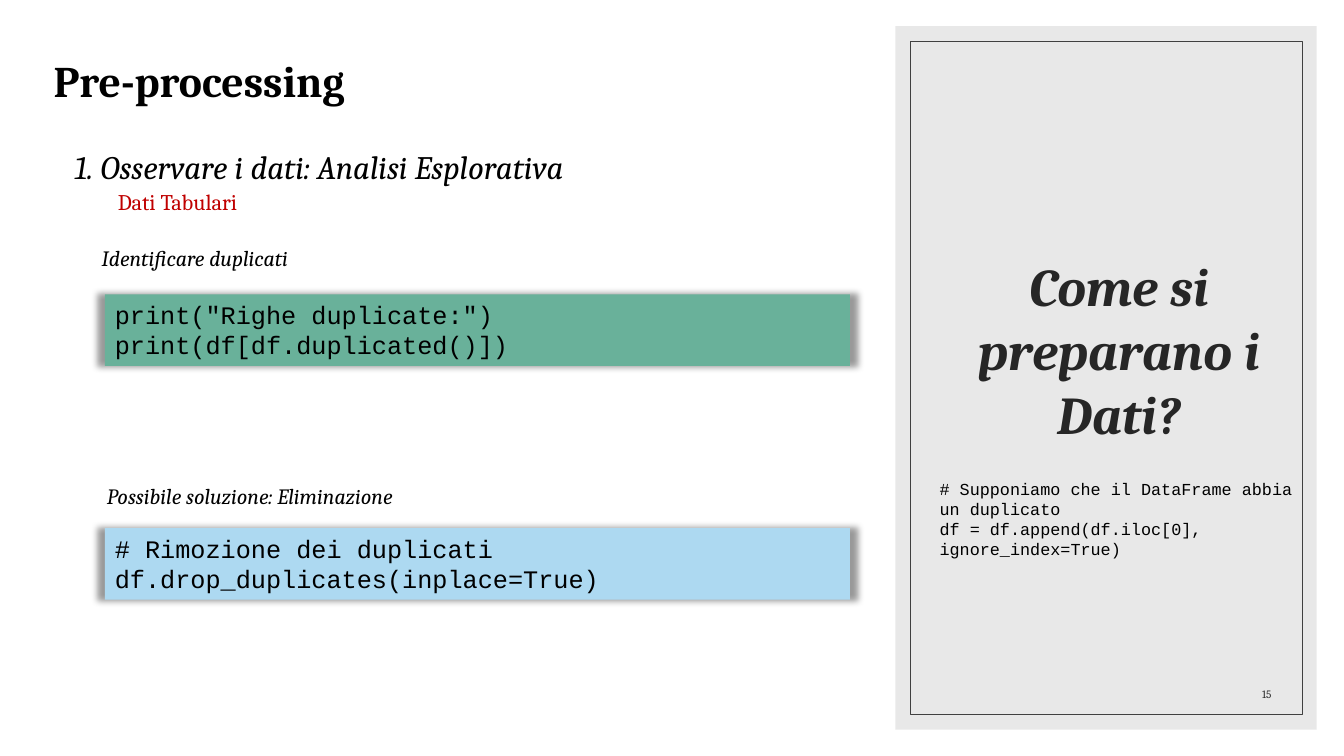
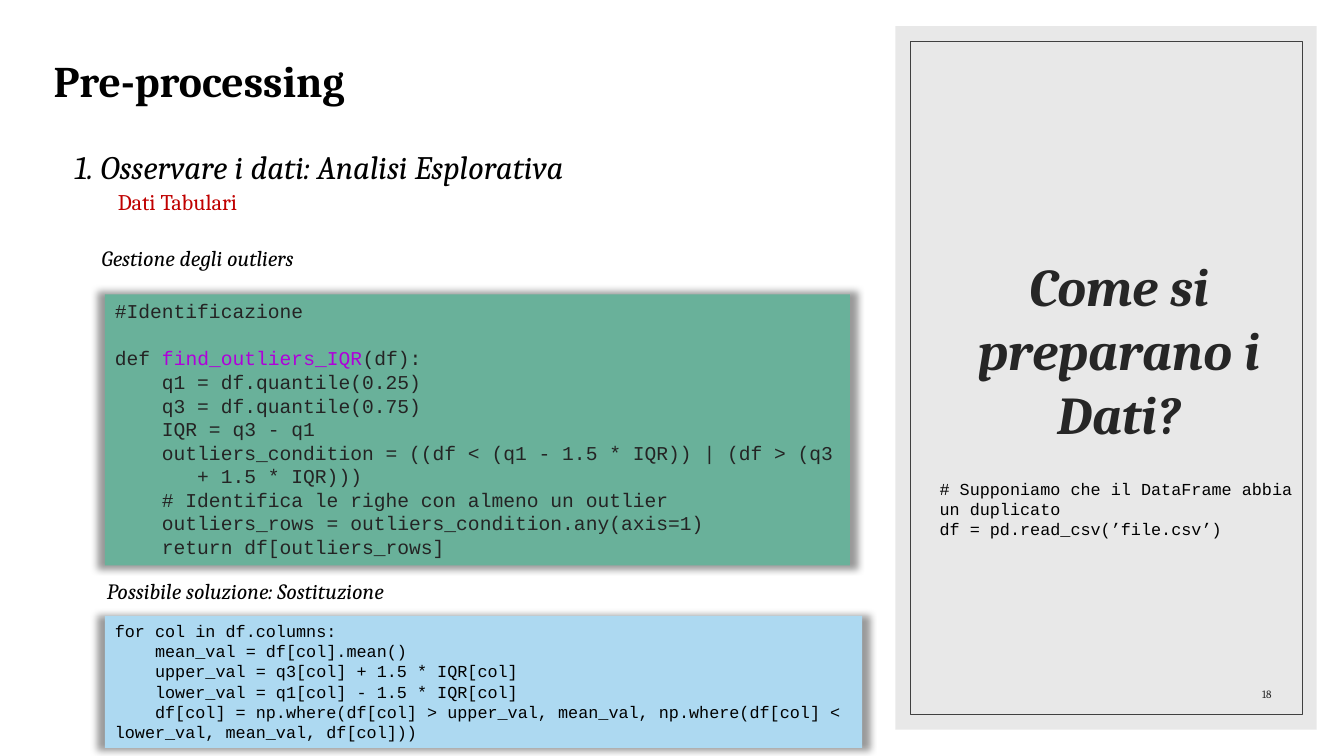
from lxml import etree
from pptx import Presentation
from pptx.dml.color import RGBColor
from pptx.enum import shapes, text
from pptx.oxml import ns
from pptx.util import Inches, Pt

BLACK = RGBColor(0x00, 0x00, 0x00)
INK = RGBColor(0x26, 0x26, 0x26)
CODE_INK = RGBColor(0x24, 0x24, 0x24)
RED = RGBColor(0xC0, 0x00, 0x00)
PURPLE = RGBColor(0xAF, 0x00, 0xDA)
PANEL_GRAY = RGBColor(0xD9, 0xD9, 0xD9)
FRAME_GRAY = RGBColor(0x40, 0x40, 0x40)
GREEN = RGBColor(0x69, 0xB1, 0x9A)
BLUE = RGBColor(0xAD, 0xD9, 0xF1)

SERIF = "Cambria"
MONO = "Courier New"


class Deck:
    def __init__(self):
        self.presentation = Presentation()
        self.presentation.slide_width = Inches(13.33)
        self.presentation.slide_height = Inches(7.5)
        self.slide = None

    def new_slide(self, number, topic):
        layout = self.presentation.slide_layouts[5]
        self.slide = self.presentation.slides.add_slide(layout)
        self.side_panel()
        self.side_title("Come si preparano i Dati?")
        self.label("Pre-processing", 0.18, 0.44, 3.59, 0.66, 31.2, bold=True,
                   align=text.PP_ALIGN.CENTER)
        self.label("1. Osservare i dati: Analisi Esplorativa",
                   0.64, 1.1, 6.85, 0.8, 23.4, italic=True)
        self.label("Dati Tabulari", 1.07, 1.82, 1.8, 0.37, 16, color=RED,
                   anchor=text.MSO_ANCHOR.TOP)
        self.caption(topic, 1.94)
        self.label(number, 11.37, 6.6, 1.34, 0.4, 8, color=INK,
                   align=text.PP_ALIGN.RIGHT)

    def rectangle(self, left, top, width, height):
        shape = self.slide.shapes.add_shape(
            shapes.MSO_SHAPE.RECTANGLE,
            Inches(left), Inches(top), Inches(width), Inches(height))
        shape.shadow.inherit = False
        shape.line.fill.background()
        return shape

    def text_box(self, left, top, width, height):
        return self.slide.shapes.add_textbox(
            Inches(left), Inches(top), Inches(width), Inches(height))

    def side_panel(self):
        panel = self.rectangle(8.88, 0.26, 4.18, 6.98)
        panel.fill.solid()
        panel.fill.fore_color.rgb = PANEL_GRAY
        color = panel._element.spPr.find(".//" + ns.qn("a:srgbClr"))
        etree.SubElement(color, ns.qn("a:alpha"), val="60000")
        frame = self.rectangle(9.03, 0.41, 3.89, 6.68)
        frame.fill.background()
        frame.line.color.rgb = FRAME_GRAY
        frame.line.width = Pt(0.5)

    def side_title(self, words):
        title = self.slide.shapes.title
        title.left, title.top = Inches(9.37), Inches(0.44)
        title.width, title.height = Inches(3.46), Inches(6.65)
        self.slide.shapes._spTree.append(title._element)
        self.set_text(title, [words], SERIF, 38, INK, bold=True, italic=True,
                      align=text.PP_ALIGN.CENTER,
                      anchor=text.MSO_ANCHOR.MIDDLE)
        title.text_frame.margin_bottom = Inches(0.65)

    def label(self, words, left, top, width, height, size, **style):
        box = self.text_box(left, top, width, height)
        style.setdefault("anchor", text.MSO_ANCHOR.BOTTOM)
        self.set_text(box, [words], SERIF, size, **style)
        return box

    def caption(self, words, top, indent=0.1):
        box = self.label(words, 0.91, top, 6.85, 0.8, 15.6, italic=True)
        box.text_frame.margin_left = Inches(indent)

    def side_code(self, lines, height):
        box = self.text_box(9.22, 4.7, 3.71, height)
        self.set_text(box, lines, MONO, 12)

    def code_block(self, lines, top, height, fill, size, width=7.39, **style):
        block = self.rectangle(1.04, top, width, height)
        block.fill.solid()
        block.fill.fore_color.rgb = fill
        self.glow_shadow(block)
        self.set_text(block, lines, MONO, size, **style)

    def glow_shadow(self, shape):
        effects = shape._element.spPr.find(ns.qn("a:effectLst"))
        shadow = etree.SubElement(
            effects, ns.qn("a:outerShdw"), blurRad=str(Pt(5)),
            sx="102000", sy="102000", algn="ctr", rotWithShape="0")
        color = etree.SubElement(shadow, ns.qn("a:srgbClr"), val=str(BLACK))
        etree.SubElement(color, ns.qn("a:alpha"), val="40000")

    def set_text(self, shape, lines, font, size, color=BLACK, bold=False,
                 italic=False, align=text.PP_ALIGN.LEFT,
                 anchor=text.MSO_ANCHOR.TOP, highlight=None):
        frame = shape.text_frame
        frame.word_wrap = True
        frame.auto_size = text.MSO_AUTO_SIZE.NONE
        frame.vertical_anchor = anchor
        paragraph = frame.paragraphs[0]
        gap = False
        for index, line in enumerate(lines):
            if not line:
                gap = True
                continue
            if index:
                paragraph = frame.add_paragraph()
            if gap:
                paragraph.space_before = Pt(size * 1.2)
                gap = False
            paragraph.alignment = align
            if highlight and highlight in line:
                for part in line.partition(highlight):
                    run = paragraph.add_run()
                    run.text = part
                    run.font.color.rgb = PURPLE if part == highlight else color
            else:
                paragraph.text = line
                paragraph.font.color.rgb = color
            paragraph.font.name = font
            paragraph.font.size = Pt(size)
            paragraph.font.bold = bold
            paragraph.font.italic = italic


def duplicates_slide(deck):
    deck.new_slide("15", "Identificare duplicati")
    deck.code_block([
        'print("Righe duplicate:")',
        "print(df[df.duplicated()])",
    ], 2.92, 0.71, GREEN, 18)
    deck.side_code([
        "# Supponiamo che il DataFrame abbia un duplicato",
        "df = df.append(df.iloc[0], ignore_index=True)",
    ], 0.91)
    deck.caption("Possibile soluzione: Eliminazione", 4.3, indent=0.15)
    deck.code_block([
        "# Rimozione dei duplicati",
        "df.drop_duplicates(inplace=True)",
    ], 5.24, 0.71, BLUE, 18)


def outliers_slide(deck):
    deck.new_slide("18", "Gestione degli outliers")
    deck.code_block([
        "#Identificazione",
        "",
        "def find_outliers_IQR(df):",
        "    q1 = df.quantile(0.25)",
        "    q3 = df.quantile(0.75)",
        "    IQR = q3 - q1",
        "    outliers_condition = ((df < (q1 - 1.5 * IQR)) | (df > (q3"
        "\v       + 1.5 * IQR)))",
        "    # Identifica le righe con almeno un outlier",
        "    outliers_rows = outliers_condition.any(axis=1)",
        "    return df[outliers_rows]",
    ], 2.92, 2.69, GREEN, 14, color=CODE_INK, highlight="find_outliers_IQR")
    deck.side_code([
        "# Supponiamo che il DataFrame abbia un duplicato",
        "df = pd.read_csv(’file.csv’)",
    ], 0.71)
    deck.caption("Possibile soluzione: Sostituzione", 5.24, indent=0.15)
    deck.code_block([
        "for col in df.columns:",
        "    mean_val = df[col].mean()",
        "    upper_val = q3[col] + 1.5 * IQR[col]",
        "    lower_val = q1[col] - 1.5 * IQR[col]",
        "    df[col] = np.where(df[col] > upper_val, mean_val, "
        "np.where(df[col] < lower_val, mean_val, df[col]))",
    ], 6.11, 1.31, BLUE, 12, width=7.51)


def main():
    deck = Deck()
    duplicates_slide(deck)
    outliers_slide(deck)
    deck.presentation.save("out.pptx")


if __name__ == "__main__":
    main()
